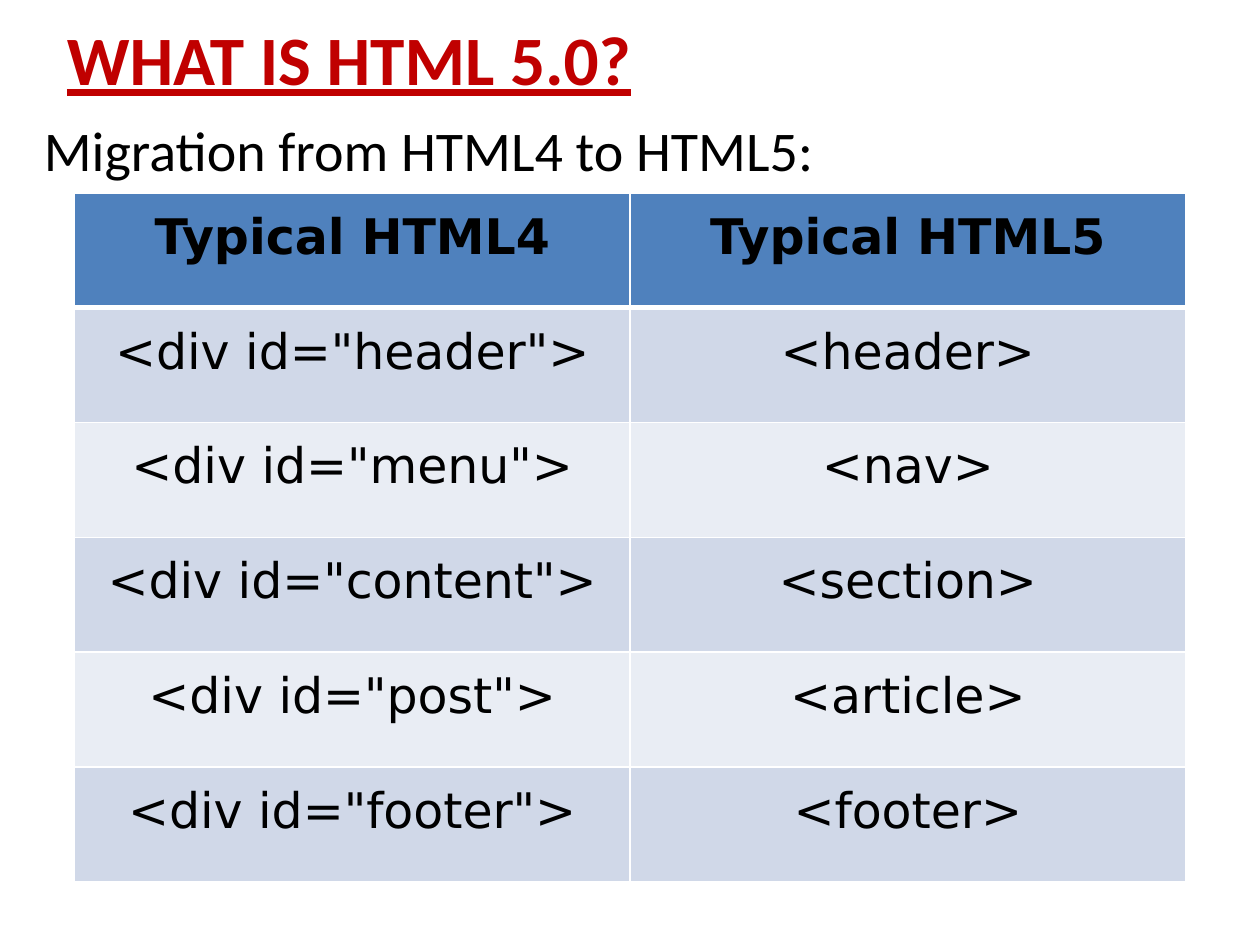
import pptx
import pptx.dml.color
import pptx.enum.text
import pptx.oxml
import pptx.oxml.ns
import pptx.util
from pptx.util import Inches

PP_ALIGN = pptx.enum.text.PP_ALIGN
ANCHOR = pptx.enum.text.MSO_ANCHOR
HEADER_FILL, BAND_FILLS = "4F81BD", ("D0D8E8", "E9EDF4")
ROWS = [
    ("Typical HTML4", "Typical HTML5"),
    ('<div id="header">', "<header>"),
    ('<div id="menu">', "<nav>"),
    ('<div id="content">', "<section>"),
    ('<div id="post">', "<article>"),
    ('<div id="footer">', "<footer>"),
]


def rgb(color):
    return pptx.dml.color.RGBColor.from_string(color)


def write(tf, text, size, font="Calibri", color="000000", bold=False,
          underline=False, align=PP_ALIGN.LEFT, line=None, after=0):
    p = tf.paragraphs[0]
    p.alignment = align
    p.space_before = pptx.util.Pt(0)
    p.space_after = pptx.util.Pt(after)
    if line:
        p.line_spacing = pptx.util.Pt(line)
    r = p.add_run()
    r.text = text
    r.font.name = font
    r.font.size = pptx.util.Pt(size)
    r.font.bold = bold
    r.font.underline = underline
    r.font.color.rgb = rgb(color)


def add_borders(cell, **widths):
    """Draw white borders; widths in points, keyed by side L, R, T or B."""
    tc_pr = cell._tc.get_or_add_tcPr()
    for side, width in widths.items():
        tc_pr.append(pptx.oxml.parse_xml(
            f'<a:ln{side} {pptx.oxml.ns.nsdecls("a")} w="{pptx.util.Pt(width)}">'
            '<a:solidFill><a:srgbClr val="FFFFFF"/></a:solidFill>'
            f'</a:ln{side}>'))


def add_title(s, left, top, width, height):
    sp = s.shapes.title
    sp.left, sp.top, sp.width, sp.height = left, top, width, height
    tf = sp.text_frame
    tf.auto_size = pptx.enum.text.MSO_AUTO_SIZE.NONE
    tf.vertical_anchor = ANCHOR.MIDDLE
    write(tf, "WHAT IS HTML 5.0?", 39.6, color="C00000", bold=True, underline=True)


def add_subtitle(s, left, top, width, height):
    tf = s.shapes.add_textbox(left, top, width, height).text_frame
    tf.word_wrap = True
    write(tf, "Migration from HTML4 to HTML5:", 32)


def add_comparison(s, left, top, width, height):
    table = s.shapes.add_table(len(ROWS), 2, left, top, width, height).table
    for i, row in enumerate(ROWS):
        header = i == 0
        margin = Inches(0.06 if header else 0.17)
        for j, text in enumerate(row):
            cell = table.cell(i, j)
            cell.vertical_anchor = ANCHOR.MIDDLE
            cell.margin_left = cell.margin_right = margin
            cell.margin_top = cell.margin_bottom = margin
            add_borders(cell, L=1, R=1, T=3 if i == 1 else 1, B=3 if header else 1)
            cell.fill.solid()
            cell.fill.fore_color.rgb = rgb(HEADER_FILL if header else BAND_FILLS[(i - 1) % 2])
            write(cell.text_frame, text, 28, font="DejaVu Sans", bold=header,
                  align=PP_ALIGN.CENTER, line=17.9, after=10.1)


def main():
    prs = pptx.Presentation()
    prs.slide_width, prs.slide_height = Inches(10), Inches(7.5)
    s = prs.slides.add_slide(prs.slide_layouts[5])
    add_title(s, Inches(0.43), Inches(0.08), Inches(8.99), Inches(0.76))
    add_subtitle(s, Inches(0.25), Inches(0.87), Inches(9.53), Inches(0.64))
    add_comparison(s, Inches(0.59), Inches(1.53), Inches(8.82), Inches(5.47))
    prs.save("out.pptx")


if __name__ == "__main__":
    main()
